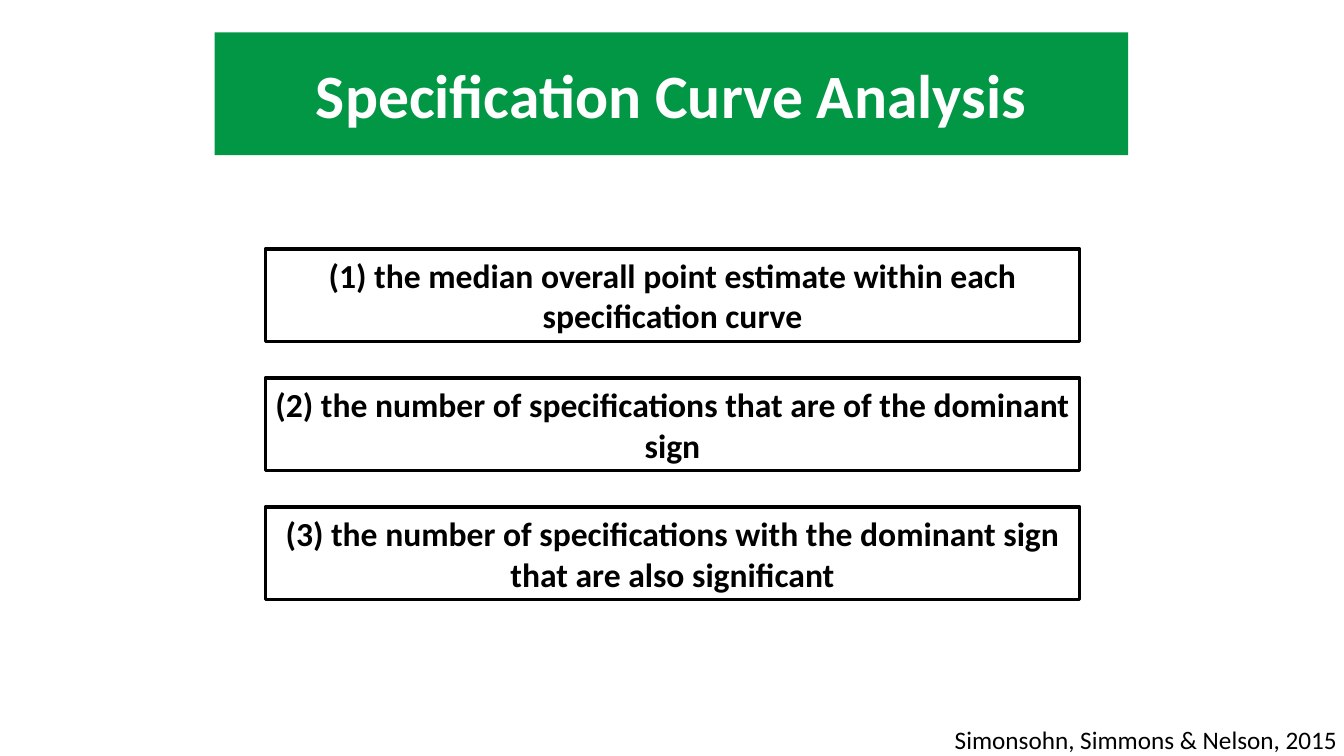
from pptx import Presentation
from pptx.dml.color import RGBColor
from pptx.enum.shapes import MSO_SHAPE
from pptx.enum.text import MSO_ANCHOR, PP_ALIGN
from pptx.util import Inches, Pt

GREEN, BLACK, WHITE = "029745", "000000", "FFFFFF"


def color(value):
    return RGBColor.from_string(value)


def write(frame, text, size=24, ink=BLACK, bold=True, align=PP_ALIGN.CENTER, font="Calibri", side=0.1):
    frame.word_wrap = True
    frame.vertical_anchor = MSO_ANCHOR.MIDDLE
    frame.margin_left = frame.margin_right = Inches(side)
    paragraph = frame.paragraphs[0]
    paragraph.alignment = align
    run = paragraph.add_run()
    run.text = text
    run.font.name = font
    run.font.size = Pt(size)
    run.font.bold = bold
    run.font.color.rgb = color(ink)


class Deck:
    def __init__(self, width, height):
        self.presentation = Presentation()
        self.presentation.slide_width = Inches(width)
        self.presentation.slide_height = Inches(height)
        self.slide = self.presentation.slides.add_slide(self.presentation.slide_layouts[6])

    def box(self, text, left, top, width, height, fill=None, line=None, **style):
        panel = self.slide.shapes.add_shape(
            MSO_SHAPE.RECTANGLE, Inches(left), Inches(top), Inches(width), Inches(height))
        panel.shadow.inherit = False
        if fill:
            panel.fill.solid()
            panel.fill.fore_color.rgb = color(fill)
        else:
            panel.fill.background()
        if line:
            panel.line.color.rgb = color(line)
            panel.line.width = Pt(2.25)
        else:
            panel.line.fill.background()
        write(panel.text_frame, text, **style)

    def label(self, text, left, top, width, height, **style):
        caption = self.slide.shapes.add_textbox(
            Inches(left), Inches(top), Inches(width), Inches(height))
        write(caption.text_frame, text, **style)


def main():
    deck = Deck(13.33, 7.5)
    deck.box("Specification Curve Analysis", 2.13, 0.32, 9.06, 1.22,
             fill=GREEN, size=44, ink=WHITE)
    measures = (
        "the median overall point estimate within each specification curve",
        "the number of specifications that are of the dominant sign",
        "the number of specifications with the dominant sign that are also significant",
    )
    for index, measure in enumerate(measures):
        deck.box(f"({index + 1}) {measure}", 2.63, 2.47 + 1.28 * index, 8.08, 0.92,
                 line=BLACK, side=0.05)
    deck.label("Simonsohn, Simmons & Nelson, 2015", 8.79, 7.18, 4.57, 0.32,
               size=18, bold=False, align=PP_ALIGN.RIGHT)
    deck.presentation.save("out.pptx")


if __name__ == "__main__":
    main()
